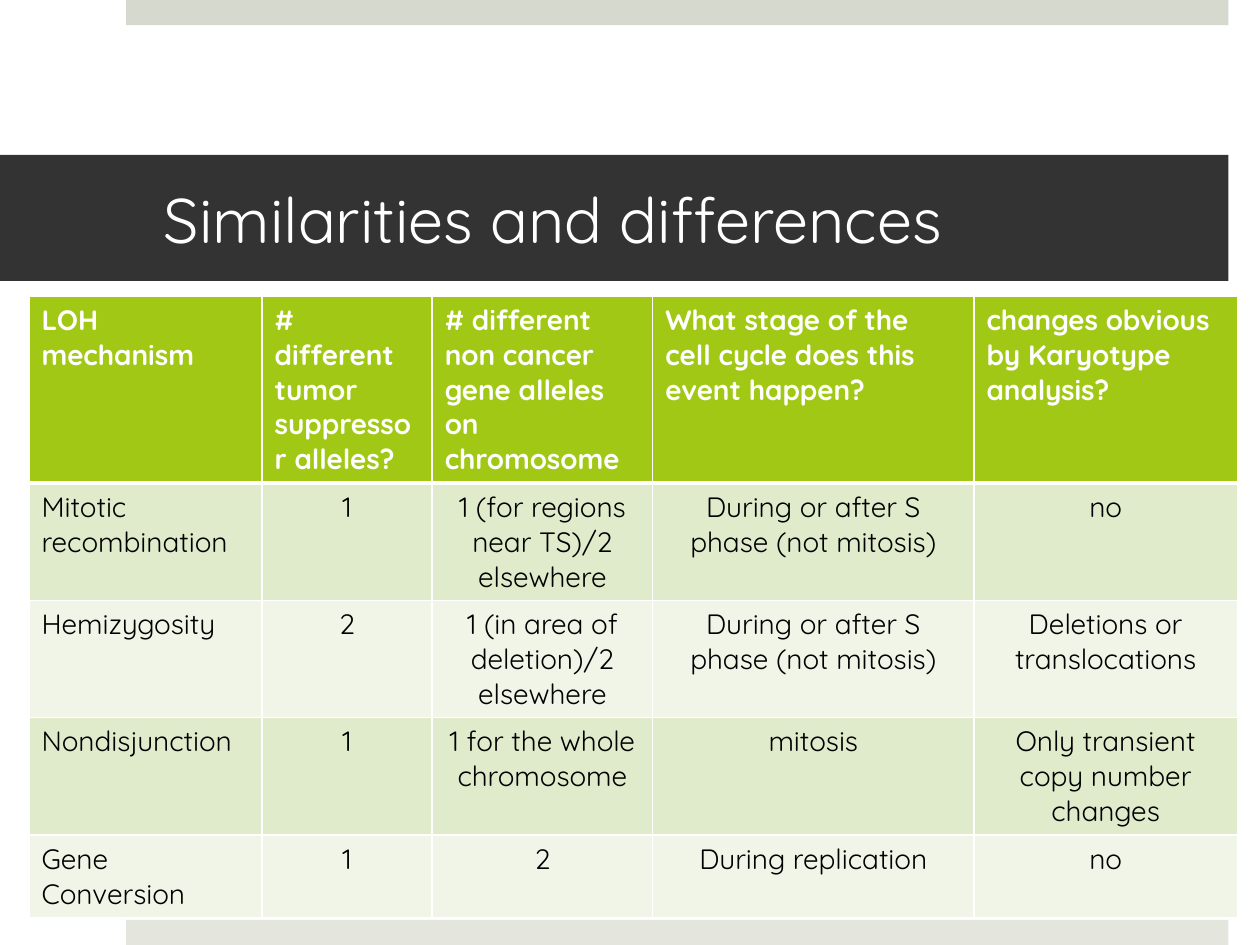
from dataclasses import dataclass, field

from lxml.etree import SubElement
from pptx import Presentation
from pptx.dml.color import RGBColor
from pptx.enum.shapes import MSO_SHAPE as Shape
from pptx.enum.text import MSO_ANCHOR as Anchor, PP_ALIGN as Align
from pptx.oxml.ns import qn
from pptx.slide import Slide
from pptx.util import Inches, Pt

COLUMNS, ROWS = 100, 75
COLUMN_SHARES = [18.5, 13.5, 17.5, 25.5, 20.9]
ROW_SHARES = [14.8, 9.3, 9.3, 9.3, 6.5]
COLORS = {
    "white": "FFFFFF",
    "text": "000000",
    "title": "333333",
    "top": "D6D9CD",
    "bottom": "E4E6DE",
    "header": "A2C816",
    "odd": "E0EBCC",
    "even": "F0F5E8",
}
MECHANISMS = [
    ["LOH mechanism", "# different tumor suppressor alleles?",
     "# different non cancer gene alleles on chromosome",
     "What stage of the cell cycle does this event happen?",
     "changes obvious by Karyotype analysis?"],
    ["Mitotic recombination", "1", "1 (for regions near TS)/2 elsewhere",
     "During or after S phase (not mitosis)", "no"],
    ["Hemizygosity", "2", "1 (in area of deletion)/2 elsewhere",
     "During or after S phase (not mitosis)", "Deletions or translocations"],
    ["Nondisjunction", "1", "1 for the whole chromosome", "mitosis",
     "Only transient copy number changes"],
    ["Gene Conversion", "1", "2", "During replication", "no"],
]


@dataclass
class Painter:
    page: Slide
    width: int
    height: int
    font: str = "Quicksand"
    colors: dict = field(default_factory=lambda: COLORS)

    def across(self, columns):
        return round(self.width * columns / COLUMNS)

    def down(self, rows):
        return round(self.height * rows / ROWS)

    def color(self, name):
        return RGBColor.from_string(self.colors[name])

    def paint(self, target, name):
        target.fill.solid()
        target.fill.fore_color.rgb = self.color(name)

    def label(self, frame, text, size, color, bold=False, align=Align.LEFT):
        para = frame.paragraphs[0]
        para.text = text
        para.alignment = align
        para.font.name = self.font
        para.font.size = Pt(size)
        para.font.bold = bold
        para.font.color.rgb = self.color(color)

    def bar(self, left, top, width, height, fill):
        box = self.page.shapes.add_shape(
            Shape.RECTANGLE, self.across(left), self.down(top),
            self.across(width), self.down(height))
        box.shadow.inherit = False
        self.paint(box, fill)
        box.line.fill.background()
        return box

    def title(self, text, left, top, width, height):
        frame = self.bar(left, top, width, height, "title").text_frame
        frame.word_wrap = True
        frame.vertical_anchor = Anchor.MIDDLE
        frame.margin_left, frame.margin_right = self.across(13), self.across(3)
        self.label(frame, text, 36, "white")

    def border(self, cell, side, points):
        line = SubElement(cell._tc.get_or_add_tcPr(), qn(f"a:{side}"), w=str(Pt(points)))
        fill = SubElement(line, qn("a:solidFill"))
        SubElement(fill, qn("a:srgbClr"), val=self.colors["white"])

    def cell(self, cell, text, row, column):
        header = row == 0
        thick = {"lnB": 3} if header else {"lnT": 3} if row == 1 else {}
        for side in ("lnL", "lnR", "lnT", "lnB"):
            self.border(cell, side, thick.get(side, 1))
        self.paint(cell, "header" if header else "odd" if row % 2 else "even")
        centred = column > 0 and not header
        self.label(cell.text_frame, text, 16, "white" if header else "text",
                   header, Align.CENTER if centred else Align.LEFT)

    def table(self, records, left, top, widths, heights):
        grid = self.page.shapes.add_table(
            len(heights), len(widths), self.across(left), self.down(top),
            self.across(sum(widths)), self.down(sum(heights))).table
        for column, width in zip(grid.columns, widths):
            column.width = self.across(width)
        for row, height in zip(grid.rows, heights):
            row.height = self.down(height)
        for row, record in enumerate(records):
            for column, text in enumerate(record):
                self.cell(grid.cell(row, column), text, row, column)


def main():
    deck = Presentation()
    deck.slide_width, deck.slide_height = Inches(10), Inches(7.5)
    page = deck.slides.add_slide(deck.slide_layouts[6])
    painter = Painter(page, deck.slide_width, deck.slide_height)
    painter.bar(10, 0, 87.5, 2, "top")
    painter.bar(10, ROWS - 2, 87.5, 2, "bottom")
    painter.title("Similarities and differences", 0, 12.3, 97.5, 10)
    painter.table(MECHANISMS, 2.3, 23.5, COLUMN_SHARES, ROW_SHARES)
    deck.save("out.pptx")


if __name__ == "__main__":
    main()
